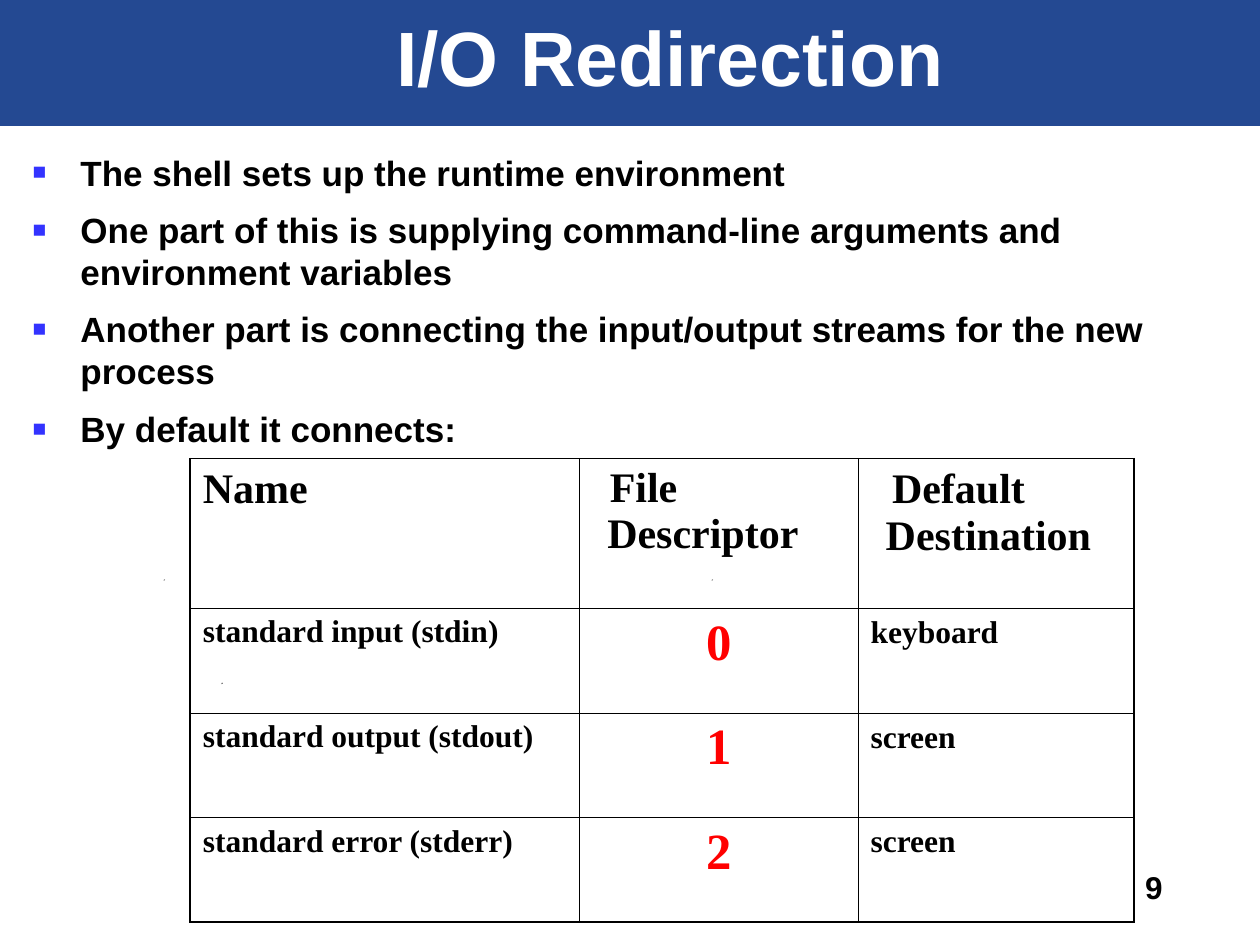
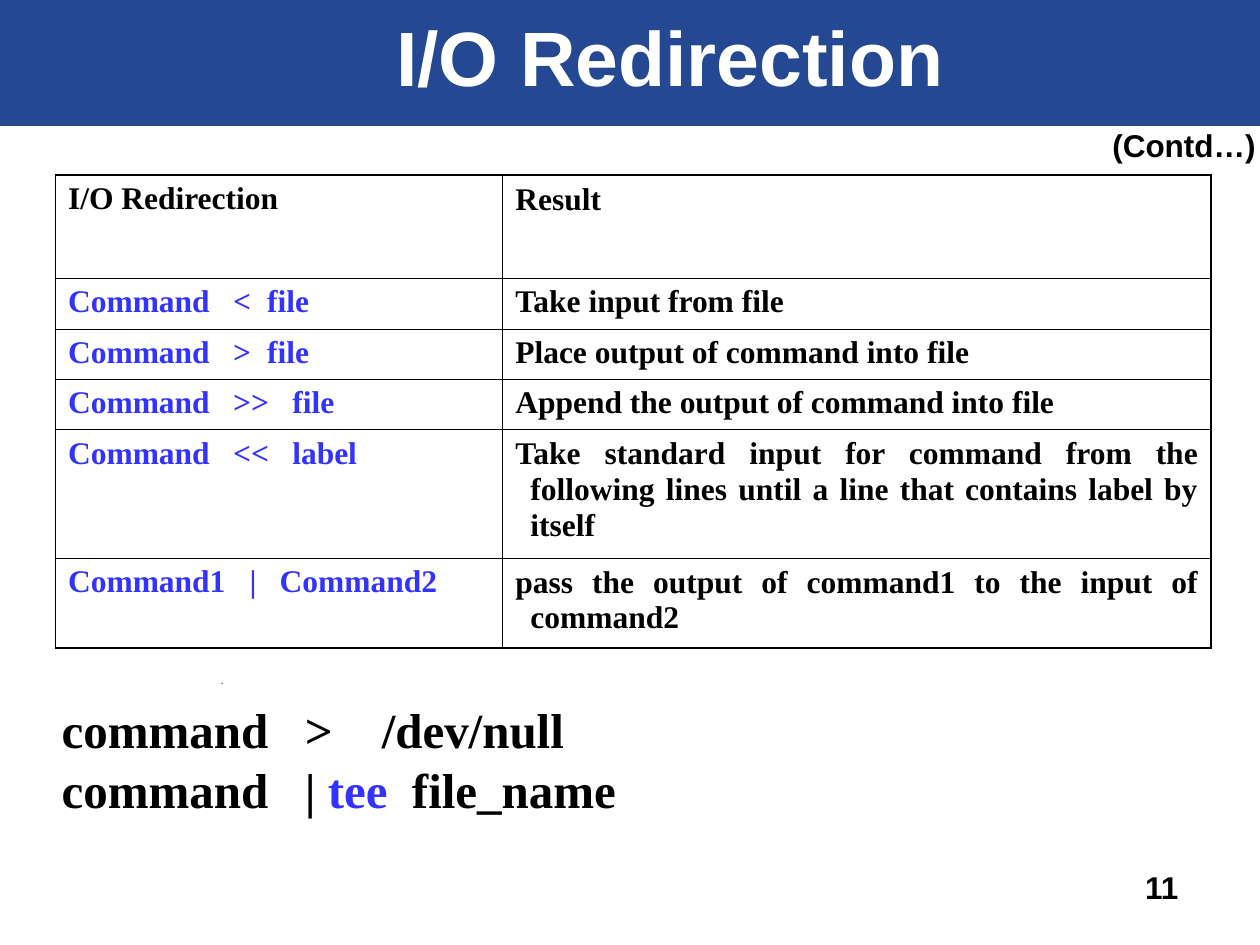
from dataclasses import dataclass
from typing import Sequence

from lxml import etree
from pptx import Presentation
from pptx.dml.color import RGBColor
from pptx.enum.shapes import MSO_SHAPE
from pptx.enum.text import MSO_ANCHOR, PP_ALIGN
from pptx.oxml.ns import qn
from pptx.util import Inches, Pt

RECTANGLE = MSO_SHAPE.RECTANGLE
TOP, BOTTOM = MSO_ANCHOR.TOP, MSO_ANCHOR.BOTTOM
LEFT, CENTER, JUSTIFY = PP_ALIGN.LEFT, PP_ALIGN.CENTER, PP_ALIGN.JUSTIFY

BLACK, WHITE, RED = "000000", "FFFFFF", "FF0000"
BAND_BLUE, ACCENT_BLUE = "244992", "3333FF"
SANS, SERIF = "Arial", "Times New Roman"
OUTER_BORDER, INNER_BORDER = 1.08, 0.45
HANGING = 0.12
SPECKS = [(1.76, 5.42), (1.3, 4.6), (5.65, 4.6)]


@dataclass(frozen=True)
class Cell:
    text: str
    size: float = 18
    color: str = BLACK
    align: PP_ALIGN = LEFT
    indent: float = HANGING
    first: float = -HANGING
    spacing: float = 1.0
    tabs: Sequence[float] = ()


@dataclass(frozen=True)
class Grid:
    left: float
    top: float
    columns: Sequence[float]
    heights: Sequence[float]
    rows: Sequence[Sequence[Cell]]


def rgb(value: str) -> RGBColor:
    return RGBColor.from_string(value)


def add_span(para, text: str, *, size: float, font: str, color: str) -> None:
    span = para.add_run()
    span.text = text
    span.font.size = Pt(size)
    span.font.name = font
    span.font.bold = True
    span.font.color.rgb = rgb(color)


def write(para, text: str, *, size: float = 18, font: str = SANS, color: str = BLACK,
          align: PP_ALIGN = LEFT, indent: float = 0, first: float = 0,
          spacing: float = 1.0, before: float = 0, bullet: str = "",
          tabs: Sequence[float] = (), accent: str = "") -> None:
    """Fill a paragraph; the word given as accent is drawn in the accent blue."""
    props = para._p.get_or_add_pPr()
    # An explicit first-line indent would cancel the tab stops
    if indent or first:
        props.set("marL", str(Inches(indent)))
        props.set("indent", str(Inches(first)))
    if bullet:
        tint = etree.SubElement(props, qn("a:buClr"))
        etree.SubElement(tint, qn("a:srgbClr"), val=ACCENT_BLUE)
        etree.SubElement(props, qn("a:buSzPct"), val="65000")
        etree.SubElement(props, qn("a:buFont"), typeface=font)
        etree.SubElement(props, qn("a:buChar"), char=bullet)
    if tabs:
        stops = etree.SubElement(props, qn("a:tabLst"))
        for stop in tabs:
            etree.SubElement(stops, qn("a:tab"), pos=str(Inches(stop)), algn="l")
    para.alignment = align
    para.line_spacing = spacing
    para.space_before = Pt(before)
    start, word, rest = text.partition(accent) if accent else (text, "", "")
    for part, tone in ((start, color), (word, ACCENT_BLUE), (rest, color)):
        if part:
            add_span(para, part, size=size, font=font, color=tone)


def add_box(page, left: float, top: float, width: float, height: float, *,
            wrap: bool = True, anchor: MSO_ANCHOR = TOP,
            inset: Sequence[float] = (0.1, 0.05, 0.1, 0.05)):
    box = page.shapes.add_textbox(Inches(left), Inches(top), Inches(width), Inches(height))
    frame = box.text_frame
    frame.word_wrap = wrap
    frame.vertical_anchor = anchor
    frame.margin_left, frame.margin_top, frame.margin_right, frame.margin_bottom = map(Inches, inset)
    return frame


def set_plain_fill(shape, color: str) -> None:
    shape.shadow.inherit = False
    shape.fill.solid()
    shape.fill.fore_color.rgb = rgb(color)
    shape.line.fill.background()


def add_page(deck, title: str, number: int):
    """Add a slide with the shared specks, title band and page number."""
    page = deck.slides.add_slide(deck.slide_layouts[6])
    for x, y in SPECKS:
        builder = page.shapes.build_freeform(Inches(x), Inches(y))
        builder.add_line_segments([(Inches(x + 0.01), Inches(y)),
                                   (Inches(x), Inches(y + 0.01))], close=True)
        set_plain_fill(builder.convert_to_shape(), BLACK)
    band = page.shapes.add_shape(RECTANGLE, 0, 0, deck.slide_width, Inches(1))
    set_plain_fill(band, BAND_BLUE)
    heading = add_box(page, 0.56, 0.21, 8.84, 0.67, anchor=BOTTOM,
                      inset=(0.78, 0.05, 0.1, 0.05))
    write(heading.paragraphs[0], title, size=44, color=WHITE, align=CENTER, spacing=0.96)
    footer = add_box(page, 8.99, 6.84, 1.41, 0.4, wrap=False)
    write(footer.paragraphs[0], str(number))
    return page


def add_border(props, side: str, width: float) -> None:
    line = etree.SubElement(props, qn(f"a:ln{side}"), w=str(Pt(width)))
    fill = etree.SubElement(line, qn("a:solidFill"))
    etree.SubElement(fill, qn("a:srgbClr"), val=BLACK)


def add_grid(page, grid: Grid) -> None:
    """Draw a table with a heavier outer frame and thin inner rules."""
    last_row, last_column = len(grid.heights) - 1, len(grid.columns) - 1
    table = page.shapes.add_table(
        len(grid.heights), len(grid.columns), Inches(grid.left), Inches(grid.top),
        Inches(sum(grid.columns)), Inches(sum(grid.heights))).table
    table.first_row = table.horz_banding = False
    for column, width in zip(table.columns, grid.columns):
        column.width = Inches(width)
    for row, height in zip(table.rows, grid.heights):
        row.height = Inches(height)
    for r, cells in enumerate(grid.rows):
        for c, item in enumerate(cells):
            cell = table.cell(r, c)
            outer = {"L": c == 0, "R": c == last_column, "T": r == 0, "B": r == last_row}
            for side, is_outer in outer.items():
                add_border(cell._tc.get_or_add_tcPr(), side,
                           OUTER_BORDER if is_outer else INNER_BORDER)
            cell.fill.background()
            write(cell.text_frame.paragraphs[0], item.text, size=item.size, font=SERIF,
                  color=item.color, align=item.align, indent=item.indent,
                  first=item.first, spacing=item.spacing, tabs=item.tabs)


def stream_row(name: str, descriptor: int, destination: str) -> list[Cell]:
    return [Cell(name), Cell(str(descriptor), size=29, color=RED, align=CENTER),
            Cell(destination, spacing=1.02)]


def command_row(command: str, tabs: Sequence[float], result: str,
                align: PP_ALIGN = LEFT, spacing: float = 1.0) -> list[Cell]:
    return [Cell(command, color=ACCENT_BLUE, indent=0, first=0, tabs=tabs),
            Cell(result, align=align, spacing=spacing)]


def build_streams_page(deck) -> None:
    page = add_page(deck, "I/O Redirection", 9)
    points = [
        "The shell sets up the runtime environment",
        "One part of this is supplying command-line arguments and environment variables",
        "Another part is connecting the input/output streams for the new process",
        "By default it connects:",
    ]
    body = add_box(page, 0.16, 1.15, 9.52, 5.78)
    for index, point in enumerate(points):
        para = body.add_paragraph() if index else body.paragraphs[0]
        write(para, point, size=20, indent=0.38, first=-0.38,
              before=8.8 if index else 0, bullet="■")

    add_grid(page, Grid(1.51, 3.64, [3.09, 2.21, 2.19], [1.19, 0.83, 0.83, 0.83], [
        [Cell("Name", size=24, spacing=1.02),
         Cell("File Descriptor", size=24, first=0.02),
         Cell("Default Destination", size=24, first=0.05, spacing=1.02)],
        stream_row("standard input (stdin)", 0, "keyboard"),
        stream_row("standard output (stdout)", 1, "screen"),
        stream_row("standard error (stderr)", 2, "screen"),
    ]))


def build_operators_page(deck) -> None:
    page = add_page(deck, "I/O Redirection", 11)

    # Example commands
    examples = add_box(page, 0.49, 5.54, 6.5, 0.95, inset=(0, 0, 0, 0))
    style = dict(size=28, font=SERIF, spacing=1.02)
    write(examples.paragraphs[0], "command\t>\t/dev/null", tabs=(1.93, 2.54), **style)
    write(examples.add_paragraph(), "command\t| tee\tfile_name", tabs=(1.93, 2.78),
          accent="tee", **style)

    # Operators and their results
    single, double, pipe = (1.31, 1.58), (1.31, 1.78), (1.44, 1.68)
    add_grid(page, Grid(0.44, 1.39, [3.55, 5.62], [0.82, 0.4, 0.4, 0.4, 1.02, 0.71], [
        [Cell("I/O Redirection"), Cell("Result", align=JUSTIFY, spacing=1.02)],
        command_row("Command\t<\tfile", single, "Take input from file"),
        command_row("Command\t>\tfile", single, "Place output of command into file"),
        command_row("Command\t>>\tfile", double, "Append the output of command into file"),
        command_row("Command\t<<\tlabel", double,
                    "Take standard input for command from the following lines "
                    "until a line that contains label by itself", JUSTIFY, 1.02),
        command_row("Command1\t|\tCommand2", pipe,
                    "pass the output of command1 to the input of command2", JUSTIFY, 1.02),
    ]))

    continued = add_box(page, 8.73, 0.95, 1.34, 0.4, wrap=False)
    write(continued.paragraphs[0], "(Contd…)")


def main() -> None:
    deck = Presentation()
    deck.slide_width, deck.slide_height = Inches(10), Inches(7.5)
    build_streams_page(deck)
    build_operators_page(deck)
    deck.save("out.pptx")


if __name__ == "__main__":
    main()
